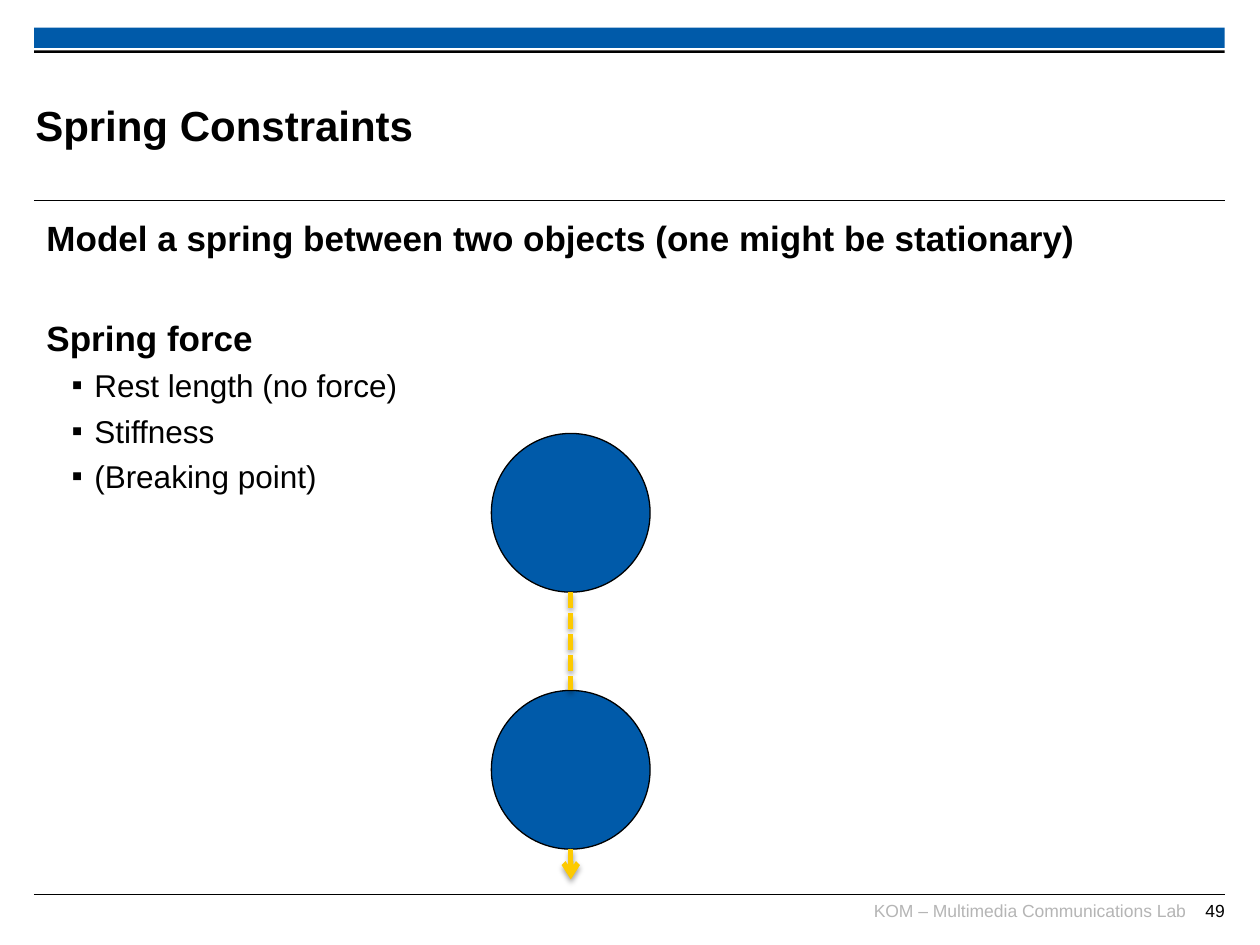
from dataclasses import dataclass

from lxml import etree
from pptx import Presentation
from pptx.dml.color import RGBColor
from pptx.enum.dml import MSO_LINE
from pptx.enum.shapes import MSO_CONNECTOR, MSO_SHAPE
from pptx.enum.text import MSO_ANCHOR, PP_ALIGN
from pptx.oxml.ns import qn
from pptx.util import Inches, Pt

STRAIGHT = MSO_CONNECTOR.STRAIGHT
RECTANGLE, OVAL = MSO_SHAPE.RECTANGLE, MSO_SHAPE.OVAL
DASH = MSO_LINE.SQUARE_DOT
LEFT, RIGHT = PP_ALIGN.LEFT, PP_ALIGN.RIGHT
TOP, MIDDLE = MSO_ANCHOR.TOP, MSO_ANCHOR.MIDDLE


@dataclass(frozen=True)
class Theme:
    font: str = "Arial"
    blue: RGBColor = RGBColor(0x00, 0x5A, 0xA9)
    yellow: RGBColor = RGBColor(0xFD, 0xCA, 0x00)
    black: RGBColor = RGBColor(0x00, 0x00, 0x00)
    grey: RGBColor = RGBColor(0xB5, 0xB5, 0xB5)
    title_size: Pt = Pt(24)
    heading_size: Pt = Pt(20)
    bullet_size: Pt = Pt(18)
    footer_size: Pt = Pt(10)


theme = Theme()


def style_text(para, size, color, bold=False, align=LEFT):
    para.alignment = align
    for span in para.runs:
        span.font.name = theme.font
        span.font.size = size
        span.font.bold = bold
        span.font.color.rgb = color


def add_line(x1, y1, x2, y2, color, width):
    line = page.shapes.add_connector(
        STRAIGHT, Inches(x1), Inches(y1), Inches(x2), Inches(y2)
    )
    line.line.color.rgb = color
    line.line.width = Pt(width)
    effects = etree.SubElement(line._element.spPr, qn("a:effectLst"))
    return line, effects


deck = Presentation()
deck.slide_width, deck.slide_height = Inches(10), Inches(7.5)
page = deck.slides.add_slide(deck.slide_layouts[5])

margin, content_width = 0.27, 9.45
right_edge = margin + content_width

for top, height, color in [(0.22, 0.16, theme.blue), (0.4, 0.02, theme.black)]:
    bar = page.shapes.add_shape(
        RECTANGLE, Inches(margin), Inches(top), Inches(content_width), Inches(height)
    )
    bar.shadow.inherit = False
    bar.fill.solid()
    bar.fill.fore_color.rgb = color
    bar.line.fill.background()

for y in (1.59, 7.1):
    add_line(margin, y, right_edge, y, theme.black, 0.6)

title = page.shapes.title
title.left, title.top = Inches(0.28), Inches(0.53)
title.width, title.height = Inches(7.52), Inches(0.92)
frame = title.text_frame
frame.text = "Spring Constraints"
frame.vertical_anchor = MIDDLE
frame.margin_left = frame.margin_right = frame.margin_top = frame.margin_bottom = 0
style_text(frame.paragraphs[0], theme.title_size, theme.black, bold=True)

footers = [
    ("KOM – Multimedia Communications Lab", 6.4, 9.41, theme.grey),
    ("49", 9.45, right_edge, theme.black),
]
for text, left, right, color in footers:
    box = page.shapes.add_textbox(
        Inches(left), Inches(7.14), Inches(right - left), Inches(0.24)
    )
    frame = box.text_frame
    frame.word_wrap = True
    frame.margin_left = frame.margin_right = frame.margin_top = frame.margin_bottom = 0
    frame.text = text
    style_text(frame.paragraphs[0], theme.footer_size, color, align=RIGHT)

body = page.shapes.add_textbox(
    Inches(margin), Inches(1.62), Inches(content_width), Inches(5.43)
)
frame = body.text_frame
frame.word_wrap = True
frame.vertical_anchor = TOP
frame.margin_top = Inches(0.1)
content = [
    ("Model a spring between two objects (one might be stationary)", False, 0),
    ("Spring force", False, 33),
    ("Rest length (no force)", True, 4.4),
    ("Stiffness", True, 4.4),
    ("(Breaking point)", True, 4.4),
]
for index, (text, bulleted, gap) in enumerate(content):
    para = frame.add_paragraph() if index else frame.paragraphs[0]
    para.text = text
    para.space_before = Pt(gap)
    if bulleted:
        para.level = 1
        properties = para._p.get_or_add_pPr()
        properties.set("marL", str(Inches(0.38)))
        properties.set("indent", str(Inches(-0.18)))
        etree.SubElement(properties, qn("a:buFont"), typeface=theme.font)
        etree.SubElement(properties, qn("a:buChar"), char="▪")
    size = theme.bullet_size if bulleted else theme.heading_size
    style_text(para, size, theme.black, bold=not bulleted)

diameter, ball_left = 1.26, 3.9
center_x = ball_left + diameter / 2
upper_top, lower_top = 3.44, 5.48
for top in (upper_top, lower_top):
    ball = page.shapes.add_shape(
        OVAL, Inches(ball_left), Inches(top), Inches(diameter), Inches(diameter)
    )
    ball.shadow.inherit = False
    ball.fill.solid()
    ball.fill.fore_color.rgb = theme.blue
    ball.line.color.rgb = theme.black
    ball.line.width = Pt(0.75)

for start, end, is_spring in [
    (upper_top + diameter, lower_top, True),
    (lower_top + diameter, 6.98, False),
]:
    link, effects = add_line(center_x, start, center_x, end, theme.yellow, 3)
    if is_spring:
        link.line.dash_style = DASH
    else:
        etree.SubElement(link.line._get_or_add_ln(), qn("a:tailEnd"), type="arrow")
    shadow = etree.SubElement(
        effects, qn("a:outerShdw"), blurRad=str(Pt(3.1)), dist=str(Pt(1.8)),
        dir="5400000", rotWithShape="0",
    )
    tint = etree.SubElement(shadow, qn("a:srgbClr"), val=str(theme.black))
    etree.SubElement(tint, qn("a:alpha"), val="35000")

deck.save("out.pptx")
